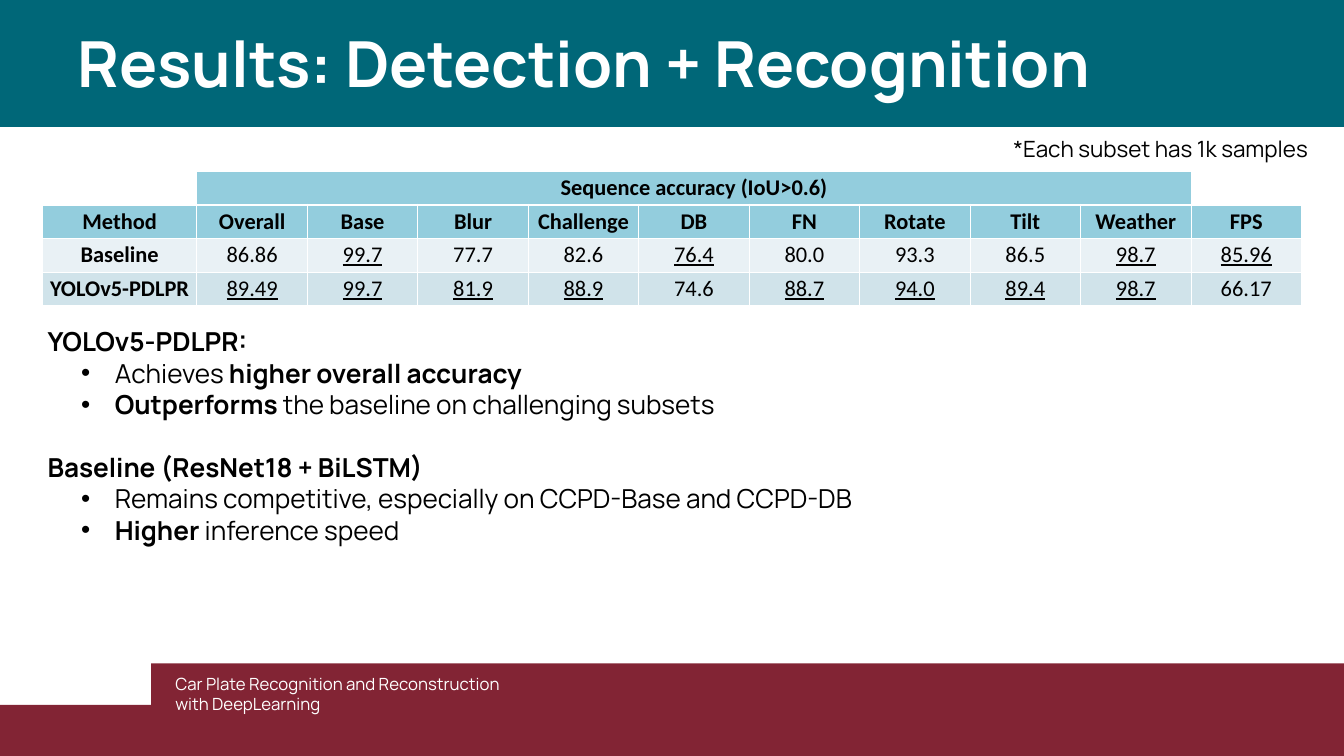
import pptx
import pptx.dml.color
import pptx.enum.shapes
import pptx.enum.text
import pptx.oxml
import pptx.oxml.ns
import pptx.util
from pptx.util import Inches

TEAL, MAROON, WHITE, BLACK = "006778", "822434", "FFFFFF", "000000"
HEADER_FILL = "93CDDD"
ROW_FILLS = [HEADER_FILL, "E9F1F5", "D0E3EA"]

ROWS = [
    ["Method", "Overall", "Base", "Blur", "Challenge", "DB", "FN", "Rotate", "Tilt", "Weather", "FPS"],
    ["Baseline", "86.86", "99.7", "77.7", "82.6", "76.4", "80.0", "93.3", "86.5", "98.7", "85.96"],
    ["YOLOv5-PDLPR", "89.49", "99.7", "81.9", "88.9", "74.6", "88.7", "94.0", "89.4", "98.7", "66.17"],
]

# Each finding: heading, then bullets as (text, bold) runs
FINDINGS = [
    ("YOLOv5-PDLPR:", [
        [("Achieves ", False), ("higher overall accuracy", True)],
        [("Outperforms", True), (" the baseline on challenging subsets", False)],
    ]),
    ("Baseline (ResNet18 + BiLSTM)", [
        [("Remains competitive, especially on CCPD-Base and CCPD-DB", False)],
        [("Higher ", True), ("inference speed", False)],
    ]),
]


def rgb(value):
    return pptx.dml.color.RGBColor.from_string(value)


def add_run(paragraph, text, size, color=BLACK, **font_format):
    run = paragraph.add_run()
    run.text = text
    run.font.color.rgb = rgb(color)
    values = {"size": pptx.util.Pt(size), "name": "Manrope", **font_format}
    for name, value in values.items():
        setattr(run.font, name, value)


def add_band(slide, box, color):
    shape = slide.shapes.add_shape(
        pptx.enum.shapes.MSO_SHAPE.RECTANGLE, *map(Inches, box))
    shape.shadow.inherit = False
    shape.fill.solid()
    shape.fill.fore_color.rgb = rgb(color)
    shape.line.fill.background()


def add_text_frame(slide, box, inset=True):
    frame = slide.shapes.add_textbox(*map(Inches, box)).text_frame
    frame.word_wrap = True
    if not inset:
        for side in ("left", "top", "right", "bottom"):
            setattr(frame, f"margin_{side}", 0)
    return frame


def add_footer(slide, box):
    left, top, width, height = box
    step_left, step_down = 2.25, 0.62
    add_band(slide, (left, top + step_down, width - step_left, height - step_down), MAROON)
    add_band(slide, (left + step_left, top, width - step_left, height), MAROON)
    frame = add_text_frame(slide, (left + 2.61, top + 0.15, 5, 0.61), inset=False)
    add_run(frame.paragraphs[0],
            "Car Plate Recognition and Reconstruction with DeepLearning", 18, WHITE)


def add_title(slide, box):
    left, top, width, height = box
    add_band(slide, box, TEAL)
    frame = add_text_frame(slide, (left + 1.15, top + 0.53, 18.56, 1.06), inset=False)
    paragraph = frame.paragraphs[0]
    paragraph.line_spacing = pptx.util.Pt(74.8)
    add_run(paragraph, "Results: Detection + Recognition", 68, WHITE, bold=True)


def set_borders(cell, bottom_points):
    """Draw white borders; call before the cell's fill is set."""
    properties = cell._tc.get_or_add_tcPr()
    for side, points in {"L": 1, "R": 1, "T": 1, "B": bottom_points}.items():
        properties.append(pptx.oxml.parse_xml(
            f'<a:ln{side} {pptx.oxml.ns.nsdecls("a")} w="{pptx.util.Pt(points)}">'
            f'<a:solidFill><a:srgbClr val="{WHITE}"/></a:solidFill></a:ln{side}>'))


def fill_cell(cell, text, fill, **font_format):
    cell.vertical_anchor = pptx.enum.text.MSO_ANCHOR.MIDDLE
    cell.margin_top = cell.margin_bottom = Inches(0.04)
    cell.fill.solid()
    cell.fill.fore_color.rgb = rgb(fill)
    paragraph = cell.text_frame.paragraphs[0]
    paragraph.alignment = pptx.enum.text.PP_ALIGN.CENTER
    add_run(paragraph, text, 24, name="Calibri", **font_format)


def add_results_table(slide, box):
    """Place the accuracy table, underlining the best value of each column."""
    column_count, row_count = len(ROWS[0]), len(ROWS) + 1
    left, top, width, height = box
    table = slide.shapes.add_table(row_count, column_count, *map(Inches, box)).table
    table.first_row = table.horz_banding = False
    method_width = 2.3
    for index, column in enumerate(table.columns):
        column.width = Inches(
            (width - method_width) / (column_count - 1) if index else method_width)
    for row in table.rows:
        row.height = Inches(height / row_count)

    for index in range(column_count):
        cell = table.cell(0, index)
        set_borders(cell, 3)
        cell.fill.background()
    table.cell(0, 1).merge(table.cell(0, column_count - 2))
    fill_cell(table.cell(0, 1), "Sequence accuracy (IoU>0.6)", HEADER_FILL, bold=True)

    best = [max(map(float, values)) for values in list(zip(*ROWS[1:]))[1:]]
    for row_index, (texts, fill) in enumerate(zip(ROWS, ROW_FILLS)):
        for index, text in enumerate(texts):
            is_label = row_index == 0 or index == 0
            cell = table.cell(row_index + 1, index)
            set_borders(cell, 1)
            fill_cell(cell, text, fill, bold=is_label,
                      underline=not is_label and float(text) == best[index - 1])


def make_bullet(paragraph):
    paragraph.level = 1
    properties = paragraph._p.get_or_add_pPr()
    properties.set("marL", str(Inches(1)))
    properties.set("indent", str(Inches(-0.5)))
    for content in ('buFont {} typeface="Arial"', 'buChar {} char="•"'):
        namespace = pptx.oxml.ns.nsdecls("a")
        properties.append(pptx.oxml.parse_xml(f"<a:{content.format(namespace)}/>"))


def add_findings(slide, box):
    frame = add_text_frame(slide, box)
    for index, (heading, bullets) in enumerate(FINDINGS):
        paragraph = frame.add_paragraph() if index else frame.paragraphs[0]
        if index:
            paragraph.space_before = pptx.util.Pt(33.6)
        add_run(paragraph, heading, 28, bold=True)
        for runs in bullets:
            paragraph = frame.add_paragraph()
            make_bullet(paragraph)
            for text, bold in runs:
                add_run(paragraph, text, 28, bold=bold)


def add_sample_note(slide, box):
    frame = add_text_frame(slide, box)
    add_run(frame.paragraphs[0], "*Each subset has 1k samples", 24)


def main():
    presentation = pptx.Presentation()
    presentation.slide_width = Inches(20)
    presentation.slide_height = Inches(11.25)
    slide = presentation.slides.add_slide(presentation.slide_layouts[6])
    add_footer(slide, (0, 9.87, 20, 1.38))
    add_title(slide, (0, -0.07, 20, 1.96))
    add_results_table(slide, (0.63, 2.55, 18.74, 2))
    add_findings(slide, (0.61, 4.8, 18.96, 3.4))
    add_sample_note(slide, (14.98, 1.96, 5.02, 0.5))
    presentation.save("out.pptx")


if __name__ == "__main__":
    main()
